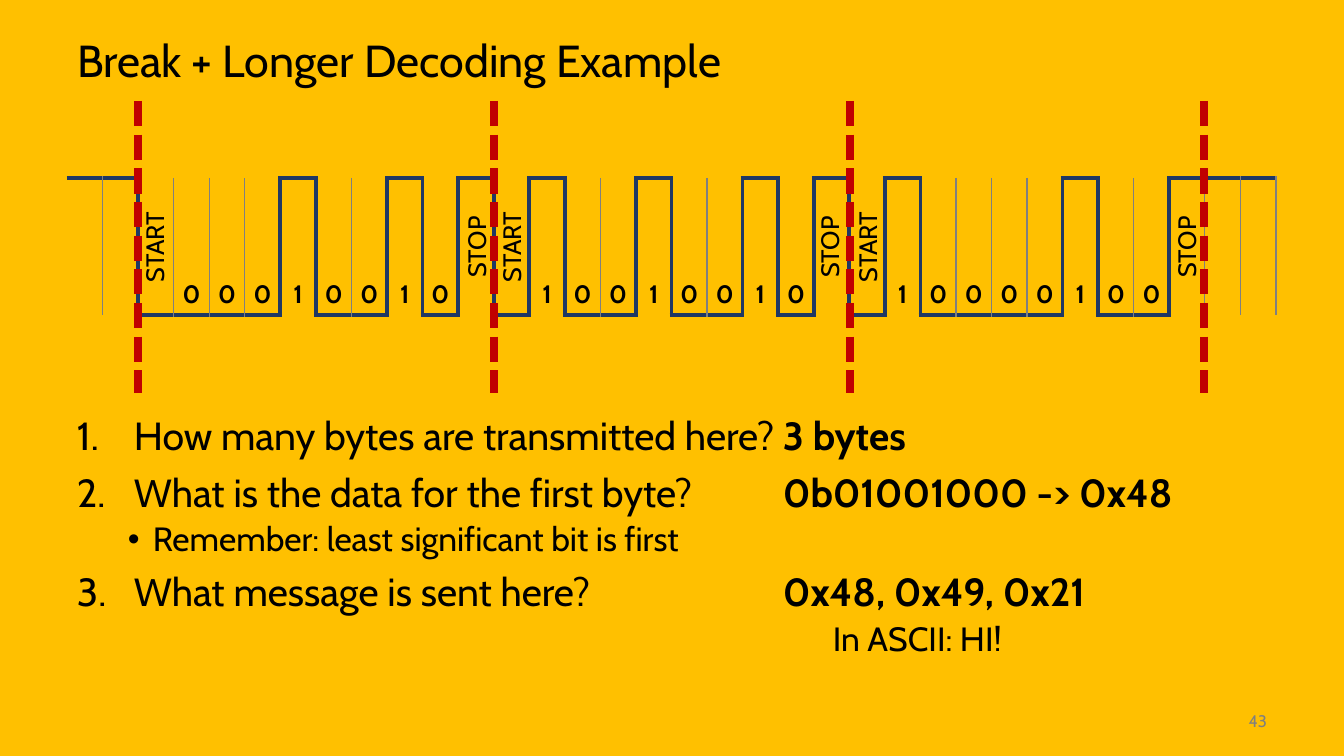
"""Builds the slide that decodes a three-byte serial signal."""
from lxml.etree import SubElement
from pptx import Presentation
from pptx.dml.color import RGBColor
from pptx.enum.dml import MSO_LINE_DASH_STYLE as Dash
from pptx.enum.shapes import MSO_CONNECTOR as Connector
from pptx.enum.text import MSO_ANCHOR as Anchor, PP_ALIGN as Align
from pptx.oxml.ns import qn
from pptx.util import Pt

PX = 914400 / 100.8
FONT = "Cabin"
GOLD = RGBColor(0xFF, 0xC0, 0x00)
BLACK = RGBColor(0x00, 0x00, 0x00)
GRAY = RGBColor(0x80, 0x80, 0x80)
NAVY = RGBColor(0x20, 0x38, 0x64)
RED = RGBColor(0xC0, 0x00, 0x00)

TITLE = "Break + Longer Decoding Example"
PAGE_NUMBER = "43"
IDLE = [(1, "")] * 2
FRAMES = ["00010010", "10010010", "10000100"]
SIGNAL_BOX = (67, 178, 1210, 137)
DIVIDERS = (138, 494, 850, 1204)
DIVIDER_TOP, DIVIDER_BOTTOM = 101, 393
LABELS = [("START", (154, 511, 867)), ("STOP", (476, 829, 1186))]
LABEL_MIDDLE, LABEL_WIDTH, LABEL_HEIGHT = 247, 98, 40
ANSWER_TAB = 706
STYLES = {
    "question": dict(level=0, margin=57, indent=-57, size=28, before=10, bullet="number"),
    "hint": dict(level=1, margin=76, indent=-25, size=24, before=5, bullet="•"),
    "result": dict(level=1, margin=756, indent=0, size=24, before=5, bullet=None),
}
LINES = [
    ("question", "How many bytes are transmitted here?", "3 bytes"),
    ("question", "What is the data for the first byte?", "0b01001000 -> 0x48"),
    ("hint", "Remember: least significant bit is first", ""),
    ("question", "What message is sent here?", "0x48, 0x49, 0x21"),
    ("result", "In ASCII: HI!", ""),
]


def px(length):
    """Turn pixels into EMU."""
    return round(length * PX)


def write(para, text, size=18, color=BLACK, bold=False, align=None):
    """Add a formatted run to a paragraph."""
    span = para.add_run()
    span.text = text
    span.font.name = FONT
    span.font.size = Pt(size)
    span.font.color.rgb = color
    span.font.bold = bold
    if align is not None:
        para.alignment = align


def add_box(page, left, top, width, height):
    """Add a wrapping text box."""
    box = page.shapes.add_textbox(px(left), px(top), px(width), px(height))
    box.text_frame.word_wrap = True
    return box


def set_border(cell, side, color=None, width=3):
    """Draw one cell border, or none without a color."""
    line = SubElement(cell._tc.get_or_add_tcPr(), qn(f"a:ln{side}"), w=str(Pt(width)))
    if color is None:
        SubElement(line, qn("a:noFill"))
    else:
        fill = SubElement(line, qn("a:solidFill"))
        SubElement(fill, qn("a:srgbClr"), val=str(color))


def set_edge(cell, side, level, neighbour):
    """Draw a bit edge: strong where the level changes."""
    if level == neighbour:
        set_border(cell, side, GRAY, 1)
    else:
        set_border(cell, side, NAVY)


def add_signal(page):
    """Draw the waveform as a one-row table."""
    bits = list(IDLE)
    for frame in FRAMES:
        bits += [(0, "")] + [(int(bit), bit) for bit in frame] + [(1, "")]
    bits += IDLE
    left, top, width, height = map(px, SIGNAL_BOX)
    table = page.shapes.add_table(1, len(bits), left, top, width, height).table
    table.first_row = table.horz_banding = False
    levels = [level for level, digit in bits]
    for index, (level, digit) in enumerate(bits):
        table.columns[index].width = width // len(bits)
        cell = table.cell(0, index)
        cell.margin_left = cell.margin_right = 0
        cell.vertical_anchor = Anchor.BOTTOM
        if index:
            set_edge(cell, "L", level, levels[index - 1])
        else:
            set_border(cell, "L")
        set_edge(cell, "R", level, (levels + [1])[index + 1])
        set_border(cell, "T", NAVY if level else None)
        set_border(cell, "B", None if level else NAVY)
        cell.fill.background()
        if digit:
            write(cell.text_frame.paragraphs[0], digit, bold=True, align=Align.CENTER)


def add_divider(page, x):
    """Draw one dashed frame boundary."""
    divider = page.shapes.add_connector(
        Connector.STRAIGHT, px(x), px(DIVIDER_TOP), px(x), px(DIVIDER_BOTTOM))
    divider.line.color.rgb = RED
    divider.line.width = Pt(6)
    divider.line.dash_style = Dash.SQUARE_DOT
    SubElement(divider._element.spPr, qn("a:effectLst"))


def add_label(page, text, center):
    """Add an upward label centred on x."""
    box = add_box(page, center - LABEL_WIDTH / 2, LABEL_MIDDLE - LABEL_HEIGHT / 2,
                  LABEL_WIDTH, LABEL_HEIGHT)
    box.rotation = 270
    write(box.text_frame.paragraphs[0], text, align=Align.CENTER)


def add_line(para, text, answer, level, margin, indent, size, before, bullet):
    """Fill one paragraph of the question list."""
    para.level = level
    props = para._p.get_or_add_pPr()
    props.set("marL", str(px(margin)))
    props.set("indent", str(px(indent)))
    if bullet == "number":
        SubElement(props, qn("a:buFont"), typeface=FONT)
        SubElement(props, qn("a:buAutoNum"), type="arabicPeriod")
    elif bullet:
        SubElement(props, qn("a:buFont"), typeface="Arial")
        SubElement(props, qn("a:buChar"), char=bullet)
    if answer:
        tabs = SubElement(props, qn("a:tabLst"))
        SubElement(tabs, qn("a:tab"), pos=str(px(ANSWER_TAB)), algn="l")
    para.line_spacing = 0.9
    para.space_before = Pt(before)
    write(para, text + ("\t" if answer else ""), size)
    if answer:
        write(para, answer, size, bold=True)


def main():
    """Build and save the deck."""
    deck = Presentation()
    deck.slide_width, deck.slide_height = px(1344), px(756)
    page = deck.slides.add_slide(deck.slide_layouts[5])
    page.background.fill.solid()
    page.background.fill.fore_color.rgb = GOLD

    title = page.shapes.title
    title.left, title.top, title.width, title.height = map(px, (67, 25, 1210, 76))
    title.text_frame.vertical_anchor = Anchor.MIDDLE
    heading = title.text_frame.paragraphs[0]
    heading.line_spacing = 0.9
    write(heading, TITLE, 32, align=Align.LEFT)

    number = add_box(page, 1176, 701, 101, 40)
    number.text_frame.vertical_anchor = Anchor.MIDDLE
    write(number.text_frame.paragraphs[0], PAGE_NUMBER, 12, GRAY, align=Align.RIGHT)

    add_signal(page)
    for x in DIVIDERS:
        add_divider(page, x)
    for text, centers in LABELS:
        for center in centers:
            add_label(page, text, center)

    frame = add_box(page, 67, 412, 1210, 268).text_frame
    for index, (style, text, answer) in enumerate(LINES):
        para = frame.add_paragraph() if index else frame.paragraphs[0]
        add_line(para, text, answer, **{**STYLES[style], **({} if index else {"before": 0})})

    deck.save("out.pptx")


if __name__ == "__main__":
    main()
